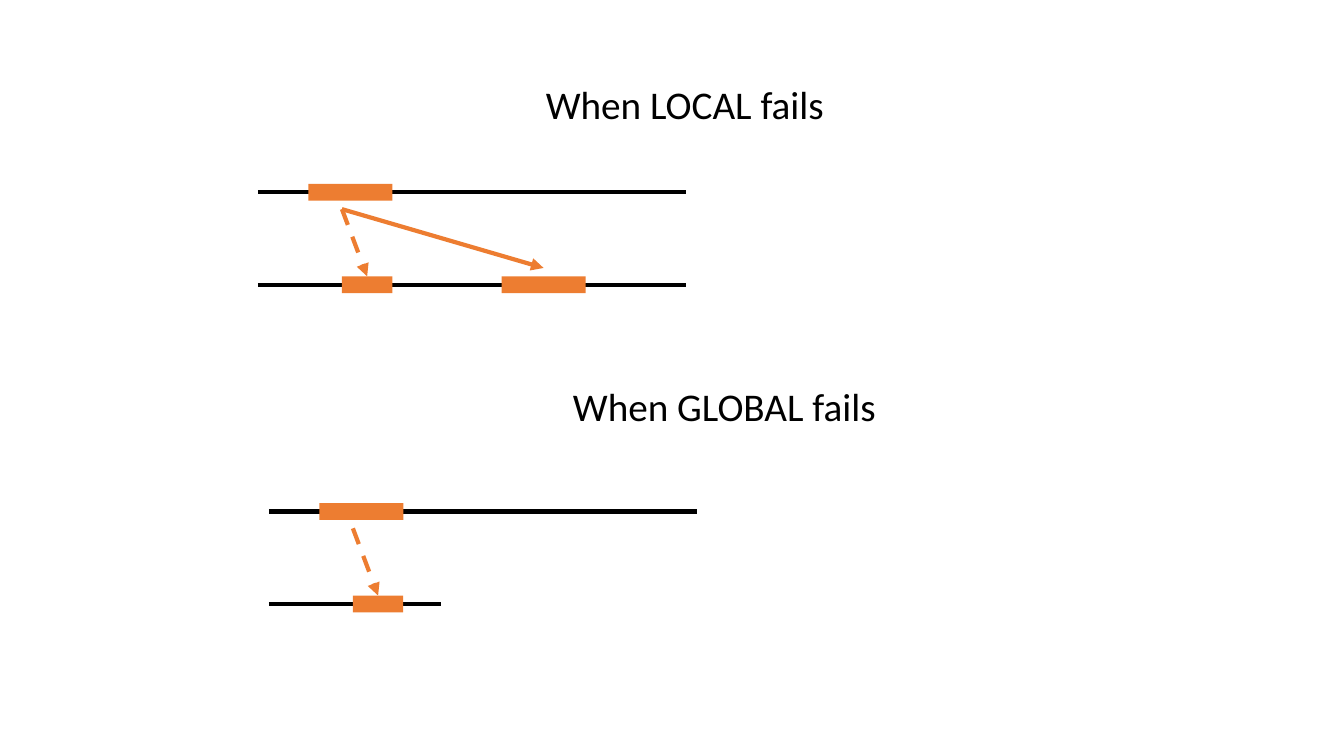
import pptx
import pptx.util
import pptx.dml.color
import pptx.enum.dml
import pptx.enum.shapes
import pptx.enum.text
import pptx.oxml.ns
from lxml import etree

COLORS = {"strand": "000000", "match": "ED7D31", "text": "000000"}
CELL = 1 / 12  # inches per grid column and row
ROW_GAP = 11  # between the two strands of a pair
BLOCK_HEIGHT = 2
FULL_STRAND = 51
LONG_MATCH = 10
SHORT_MATCH = 6


def grid(cells):
    return pptx.util.Inches(cells * CELL)


def rgb(name):
    return pptx.dml.color.RGBColor.from_string(COLORS[name])


def add_line(slide, start, end, color, arrow=False, dashed=False):
    line = slide.shapes.add_connector(
        pptx.enum.shapes.MSO_CONNECTOR.STRAIGHT, *map(grid, start + end))
    line.line.color.rgb = rgb(color)
    line.line.width = pptx.util.Pt(3)
    if dashed:
        line.line.dash_style = pptx.enum.dml.MSO_LINE.DASH
    if arrow:
        etree.SubElement(line.line._get_or_add_ln(),
                         pptx.oxml.ns.qn("a:tailEnd"), type="triangle")
    etree.SubElement(line._element.spPr, pptx.oxml.ns.qn("a:effectLst"))


def add_strand(slide, left, middle, length, matches):
    """Draw a sequence line with (offset, width) matching regions on it."""
    add_line(slide, (left, middle), (left + length, middle), "strand")
    for offset, width in matches:
        region = slide.shapes.add_shape(
            pptx.enum.shapes.MSO_SHAPE.RECTANGLE,
            grid(left + offset), grid(middle - BLOCK_HEIGHT / 2),
            grid(width), grid(BLOCK_HEIGHT))
        region.shadow.inherit = False
        region.fill.solid()
        region.fill.fore_color.rgb = rgb("match")
        region.line.fill.background()


def add_alignment(slide, left, top, lower_length, far_match=False):
    """Draw two strands, with arrows from the upper match to the lower ones."""
    add_strand(slide, left, top, FULL_STRAND, [(6, LONG_MATCH)])
    lower_matches = [(10, SHORT_MATCH)]
    if far_match:
        lower_matches.append((29, LONG_MATCH))
    add_strand(slide, left, top + ROW_GAP, lower_length, lower_matches)

    source = (left + 10, top + 2)
    if far_match:
        add_line(slide, source, (left + 34, top + 9), "match", arrow=True)
    add_line(slide, source, (left + 13, top + 10), "match",
             arrow=True, dashed=True)


def format_heading(heading, left, top, wording):
    heading.left, heading.top = grid(left), grid(top)
    heading.width, heading.height = grid(99), grid(6.8)
    frame = heading.text_frame
    frame.word_wrap = True
    frame.auto_size = pptx.enum.text.MSO_AUTO_SIZE.SHAPE_TO_FIT_TEXT
    frame.vertical_anchor = pptx.enum.text.MSO_ANCHOR.TOP
    frame.text = wording
    paragraph = frame.paragraphs[0]
    paragraph.alignment = pptx.enum.text.PP_ALIGN.CENTER
    paragraph.line_spacing = 1.0
    paragraph.font.size = pptx.util.Pt(28)
    paragraph.font.name = "Calibri"
    paragraph.font.color.rgb = rgb("text")


def main():
    deck = pptx.Presentation()
    deck.slide_width = pptx.util.Inches(13.33)
    deck.slide_height = pptx.util.Inches(7.5)
    slide = deck.slides.add_slide(deck.slide_layouts.get_by_name("Title Only"))

    format_heading(slide.shapes.title, 32, 9, "When LOCAL fails")
    add_alignment(slide, 30.7, 22.9, FULL_STRAND, far_match=True)

    global_heading = slide.shapes.add_textbox(0, 0, 0, 0)
    format_heading(global_heading, 36.7, 44.9, "When GLOBAL fails")
    add_alignment(slide, 32, 60.9, 20.5)

    deck.save("out.pptx")


if __name__ == "__main__":
    main()
